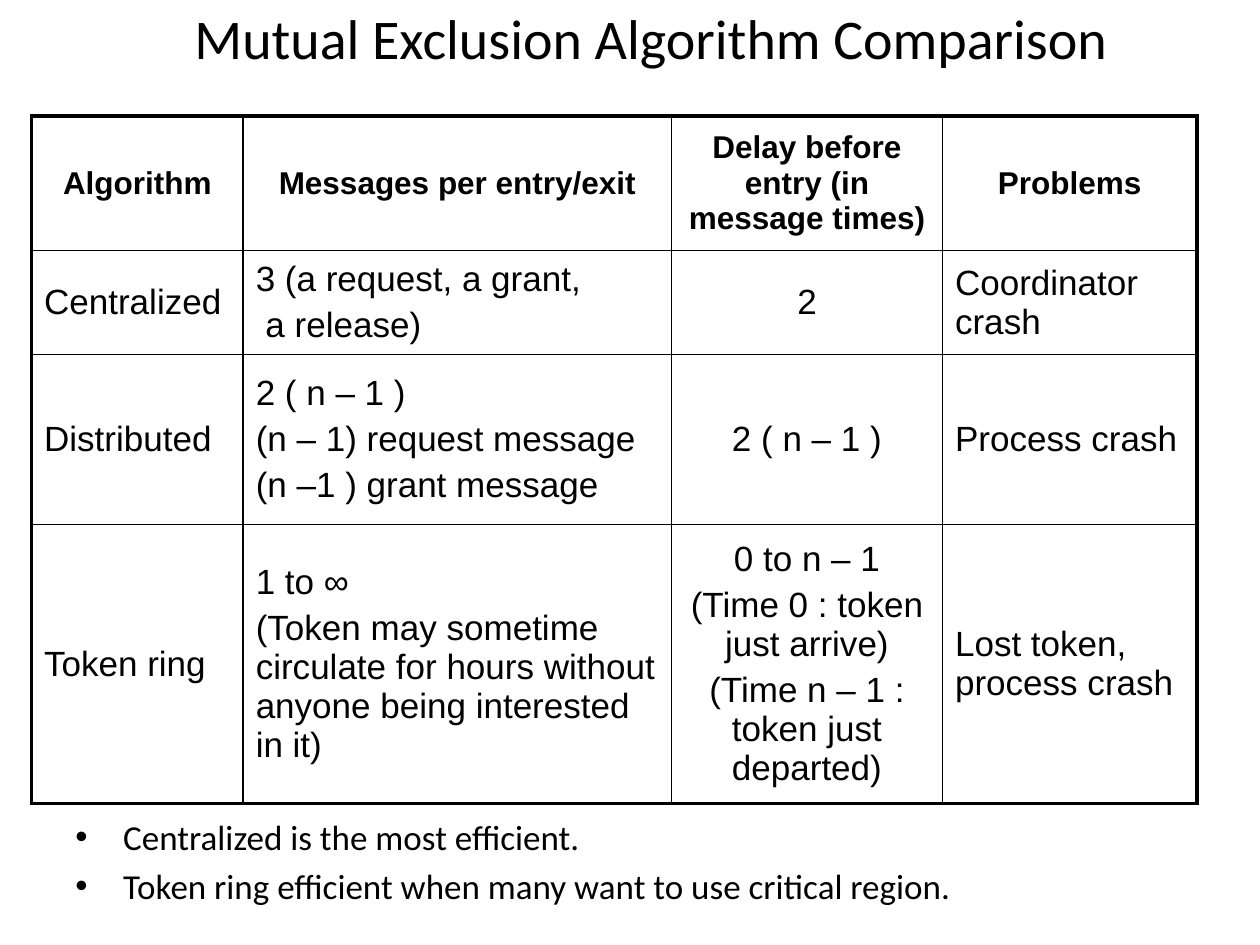
from typing import NamedTuple

from lxml import etree
from pptx import Presentation
from pptx.dml.color import RGBColor
from pptx.enum.text import MSO_ANCHOR as Anchor, PP_ALIGN as Align
from pptx.oxml.ns import qn
from pptx.util import Inches, Pt

BLACK = "000000"
THIN, THICK = 1, 2.25


class Column(NamedTuple):
    header: str
    width: float
    align: Align


class Row(NamedTuple):
    height: float
    cells: list[str]  # one line of a cell is one paragraph


COLUMNS = [
    Column("Algorithm", 1.68, Align.LEFT),
    Column("Messages per entry/exit", 3.4, Align.LEFT),
    Column("Delay before entry (in message times)", 2.15, Align.CENTER),
    Column("Problems", 2.02, Align.LEFT),
]
ROWS = [
    Row(1.07, [c.header for c in COLUMNS]),
    Row(0.82, ["Centralized", "3 (a request, a grant,\n a release)", "2",
               "Coordinator crash"]),
    Row(1.35, ["Distributed",
               "2 ( n – 1 )\n(n – 1) request message\n(n –1 ) grant message",
               "2 ( n – 1 )", "Process crash"]),
    Row(1.95, ["Token ring",
               "1 to ∞\n(Token may sometime circulate for hours without "
               "anyone being interested in it)",
               "0 to n – 1\n(Time 0 : token just arrive)\n"
               "(Time n – 1 : token just departed)",
               "Lost token, process crash"]),
]
BULLETS = [
    "Centralized is the most efficient.",
    "Token ring efficient when many want to use critical region.",
]


def rgb(color: str) -> RGBColor:
    return RGBColor.from_string(color)


def format_text(tf, size: float, font: str, align=Align.LEFT, bold=False) -> None:
    for p in tf.paragraphs:
        p.alignment = align
        p.space_before = Pt(size * 0.2)
        for r in p.runs:
            r.font.size, r.font.name, r.font.bold = Pt(size), font, bold
            r.font.color.rgb = rgb(BLACK)


def add_text(s, x: float, y: float, w: float, h: float, text: str,
             size: float, align=Align.LEFT, anchor=Anchor.TOP):
    tf = s.shapes.add_textbox(Inches(x), Inches(y), Inches(w), Inches(h)).text_frame
    tf.word_wrap = True
    tf.vertical_anchor = anchor
    tf.text = text
    format_text(tf, size, "Calibri", align)
    return tf


def set_bullet(p) -> None:
    pPr = p._p.get_or_add_pPr()
    pPr.set("marL", str(Inches(0.38)))
    pPr.set("indent", str(-Inches(0.38)))
    etree.SubElement(pPr, qn("a:buFont")).set("typeface", "Arial")
    etree.SubElement(pPr, qn("a:buChar")).set("char", "•")


def set_border(cell, side: str, width: float) -> None:
    ln = etree.SubElement(cell._tc.get_or_add_tcPr(), qn(f"a:ln{side}"))
    ln.set("w", str(Pt(width)))
    fill = etree.SubElement(ln, qn("a:solidFill"))
    etree.SubElement(fill, qn("a:srgbClr")).set("val", BLACK)


def add_comparison(s, x: float, y: float) -> None:
    width = sum(c.width for c in COLUMNS)
    height = sum(row.height for row in ROWS)
    table = s.shapes.add_table(len(ROWS), len(COLUMNS), Inches(x), Inches(y),
                               Inches(width), Inches(height)).table
    table.first_row = table.horz_banding = False
    for j, col in enumerate(COLUMNS):
        table.columns[j].width = Inches(col.width)
    for i, row in enumerate(ROWS):
        table.rows[i].height = Inches(row.height)
        header = i == 0
        for j, text in enumerate(row.cells):
            cell = table.cell(i, j)
            cell.vertical_anchor = Anchor.MIDDLE
            cell.text_frame.text = text
            format_text(cell.text_frame, 18 if header else 20, "Arial",
                        Align.CENTER if header else COLUMNS[j].align, header)
            # Thick lines only along the outer frame
            outer = {"L": j == 0, "R": j == len(COLUMNS) - 1,
                     "T": header, "B": i == len(ROWS) - 1}
            for side, is_outer in outer.items():
                set_border(cell, side, THICK if is_outer else THIN)
            cell.fill.background()


def main() -> None:
    prs = Presentation()
    prs.slide_width, prs.slide_height = Inches(10), Inches(7.5)
    s = prs.slides.add_slide(prs.slide_layouts[6])

    # Title
    add_text(s, 0.67, -0.33, 9, 1.25, "Mutual Exclusion Algorithm Comparison",
             32, Align.CENTER, Anchor.MIDDLE).paragraphs[0].space_before = Pt(0)

    # Comparison table
    add_comparison(s, 0.25, 0.92)

    # Conclusions
    for p in add_text(s, 0.5, 6.42, 8.83, 1.5, "\n".join(BULLETS), 20).paragraphs:
        set_bullet(p)

    prs.save("out.pptx")


if __name__ == "__main__":
    main()
